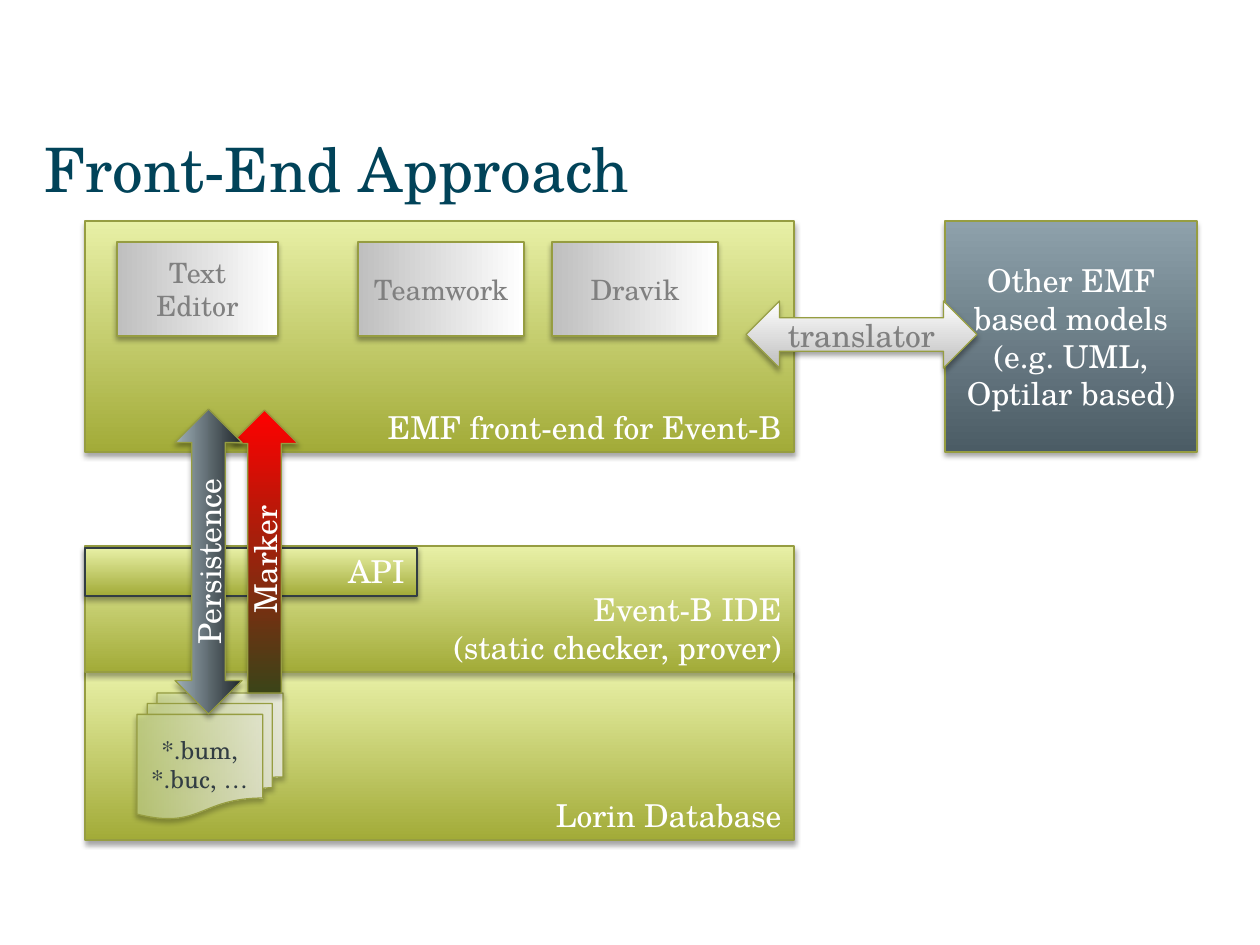
"""Build the Front-End Approach architecture slide."""
from dataclasses import dataclass

from lxml.etree import SubElement
from pptx import Presentation
from pptx.dml.color import RGBColor
from pptx.enum.shapes import MSO_SHAPE
from pptx.enum.text import MSO_ANCHOR, MSO_AUTO_SIZE, PP_ALIGN
from pptx.oxml.ns import qn
from pptx.util import Emu, Pt

EMU_PER_PX = 914400 / 126
FONT = "TeX Gyre Schola"
COLORS = {
    "title": "014359", "white": "FFFFFF", "gray": "808080", "ink": "323D43",
    "outline": "969D41", "olive": "A2AB38", "lime": "E8F0A6", "silver": "BFBFBF",
    "slate": "4B5C65", "mist": "8EA1AB", "sage": "C7D688", "moss": "3B4418",
    "red": "FF0000", "coal": "1F262A", "steel": "A0B1B9", "shadow": "000000",
}


@dataclass(frozen=True)
class Style:
    start: str
    end: str
    angle: int = 90
    text: str = "white"
    size: int = 18
    align: PP_ALIGN = PP_ALIGN.CENTER
    anchor: MSO_ANCHOR = MSO_ANCHOR.MIDDLE
    line: str = "outline"
    line_width: float = 0.75
    opacity: int = 100


@dataclass(frozen=True)
class Box:
    text: str
    left: int
    top: int
    width: int
    height: int
    style: Style
    kind: MSO_SHAPE = MSO_SHAPE.RECTANGLE
    rotation: int = 0
    vert: str = "horz"


CORNER = {"align": PP_ALIGN.RIGHT, "anchor": MSO_ANCHOR.BOTTOM}
LAYER = Style("olive", "lime", **CORNER)
API = Style("olive", "lime", line="ink", line_width=1.25, **CORNER)
TOOL = Style("silver", "white", angle=0, text="gray", size=16)
OTHER = Style("slate", "mist")
FILES = Style("sage", "white", angle=0, text="ink", size=14, opacity=73)
TRANSLATOR = Style("silver", "white", text="gray")
MARKER = Style("moss", "red")
PERSISTENCE = Style("coal", "steel")

BOXES = [
    Box("Lorin Database", 85, 672, 709, 168, LAYER),
    Box("Event-B IDE\n(static checker, prover)", 85, 546, 709, 126, LAYER),
    Box("EMF front-end for Event-B", 85, 221, 709, 231, LAYER),
    Box("Text Editor", 117, 242, 161, 94, TOOL),
    Box("Teamwork", 358, 242, 166, 94, TOOL),
    Box("Other EMF based models\n(e.g. UML, Optilar based)", 945, 221, 252, 231, OTHER),
    Box("*.bum, *.buc, …", 137, 693, 146, 126, FILES, MSO_SHAPE.FLOWCHART_MULTIDOCUMENT),
    Box("translator", 746, 301, 231, 67, TRANSLATOR, MSO_SHAPE.LEFT_RIGHT_ARROW),
    Box("Dravik", 552, 242, 166, 94, TOOL),
    Box("API", 85, 548, 332, 48, API),
    Box("Marker", 231, 410, 67, 283, MARKER, MSO_SHAPE.UP_ARROW, vert="vert270"),
    Box("Persistence", 56, 528, 305, 67, PERSISTENCE, MSO_SHAPE.LEFT_RIGHT_ARROW, 270),
]


def px(value: int) -> Emu:
    return Emu(round(value * EMU_PER_PX))


def rgb(name: str) -> RGBColor:
    return RGBColor.from_string(COLORS[name])


def format_text(tf, size: int, color: str, align: PP_ALIGN, anchor: MSO_ANCHOR) -> None:
    tf.word_wrap = True
    tf.auto_size = MSO_AUTO_SIZE.NONE
    tf.vertical_anchor = anchor
    for p in tf.paragraphs:
        p.alignment = align
        p.font.name = FONT
        p.font.size = Pt(size)
        p.font.color.rgb = rgb(color)


def fill_gradient(sp, style: Style) -> None:
    sp.fill.gradient()
    sp.fill.gradient_angle = style.angle
    for stop, name, position in zip(sp.fill.gradient_stops, (style.start, style.end), (0, 1)):
        stop.color.rgb = rgb(name)
        stop.position = position
    if style.opacity < 100:
        for color in sp._element.spPr.findall(".//" + qn("a:gs") + "/" + qn("a:srgbClr")):
            SubElement(color, qn("a:alpha"), val=str(style.opacity * 1000))


def add_shadow(sp) -> None:
    sp.shadow.inherit = False
    effects = sp._element.spPr.find(qn("a:effectLst"))
    shadow = SubElement(effects, qn("a:outerShdw"), blurRad=str(Pt(3.1)), dist=str(Pt(1.8)),
                        dir="5400000", rotWithShape="0")
    color = SubElement(shadow, qn("a:srgbClr"), val=COLORS["shadow"])
    SubElement(color, qn("a:alpha"), val="35000")


def add_box(slide, box: Box) -> None:
    style = box.style
    sp = slide.shapes.add_shape(box.kind, px(box.left), px(box.top), px(box.width), px(box.height))
    sp.rotation = box.rotation
    fill_gradient(sp, style)
    sp.line.color.rgb = rgb(style.line)
    sp.line.width = Pt(style.line_width)
    add_shadow(sp)
    tf = sp.text_frame
    tf.text = box.text
    format_text(tf, style.size, style.text, style.align, style.anchor)
    tf._txBody.bodyPr.set("vert", box.vert)


def add_title(slide, text: str) -> None:
    sp = slide.shapes.title
    sp.left, sp.top, sp.width, sp.height = px(44), px(123), px(1171), px(89)
    tf = sp.text_frame
    tf.text = text
    tf.margin_left = 0
    format_text(tf, 35, "title", PP_ALIGN.LEFT, MSO_ANCHOR.MIDDLE)


def main() -> None:
    prs = Presentation()
    prs.slide_width, prs.slide_height = px(1260), px(945)
    slide = prs.slides.add_slide(prs.slide_layouts[5])
    add_title(slide, "Front-End Approach")
    for box in BOXES:
        add_box(slide, box)
    prs.save("out.pptx")


if __name__ == "__main__":
    main()
